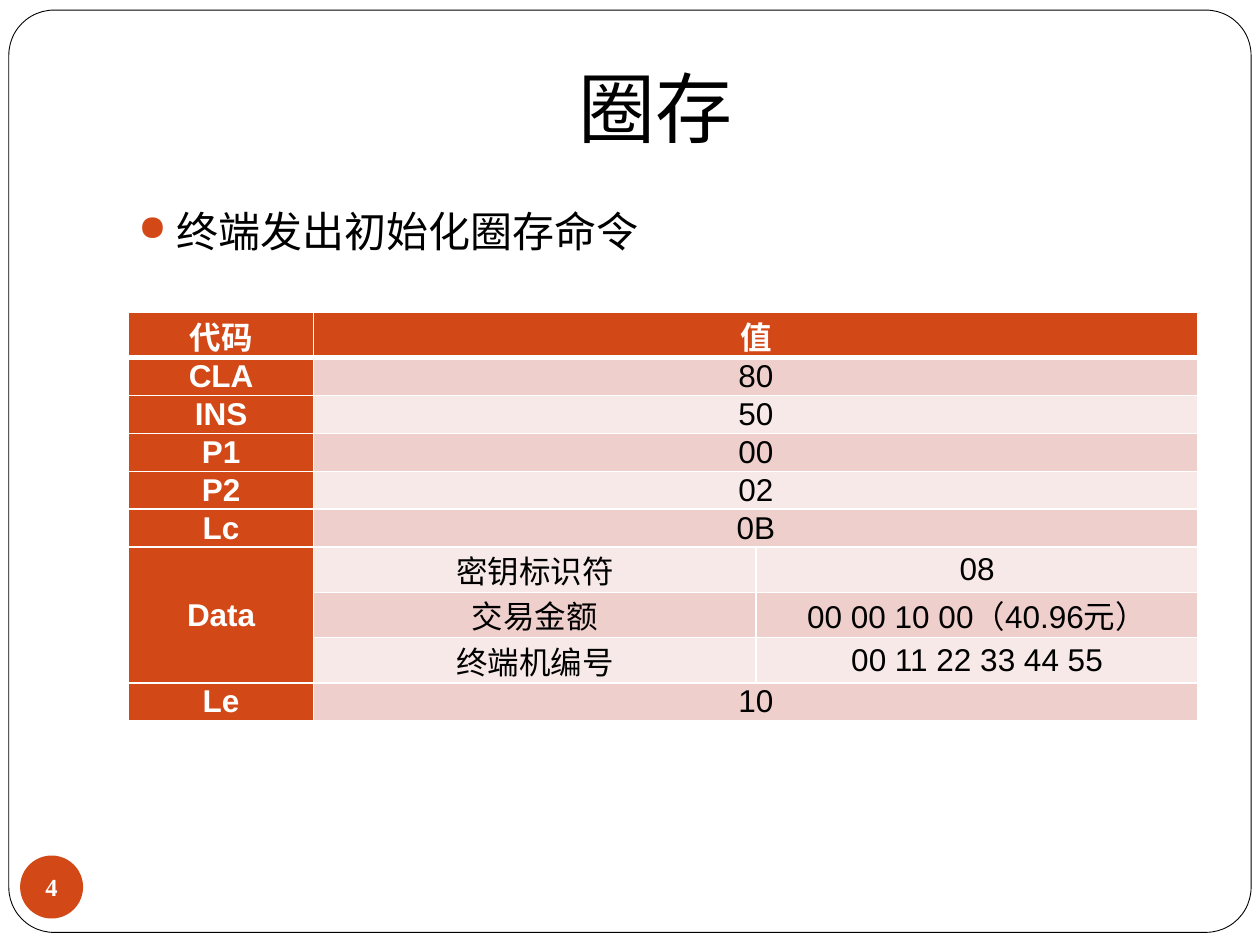
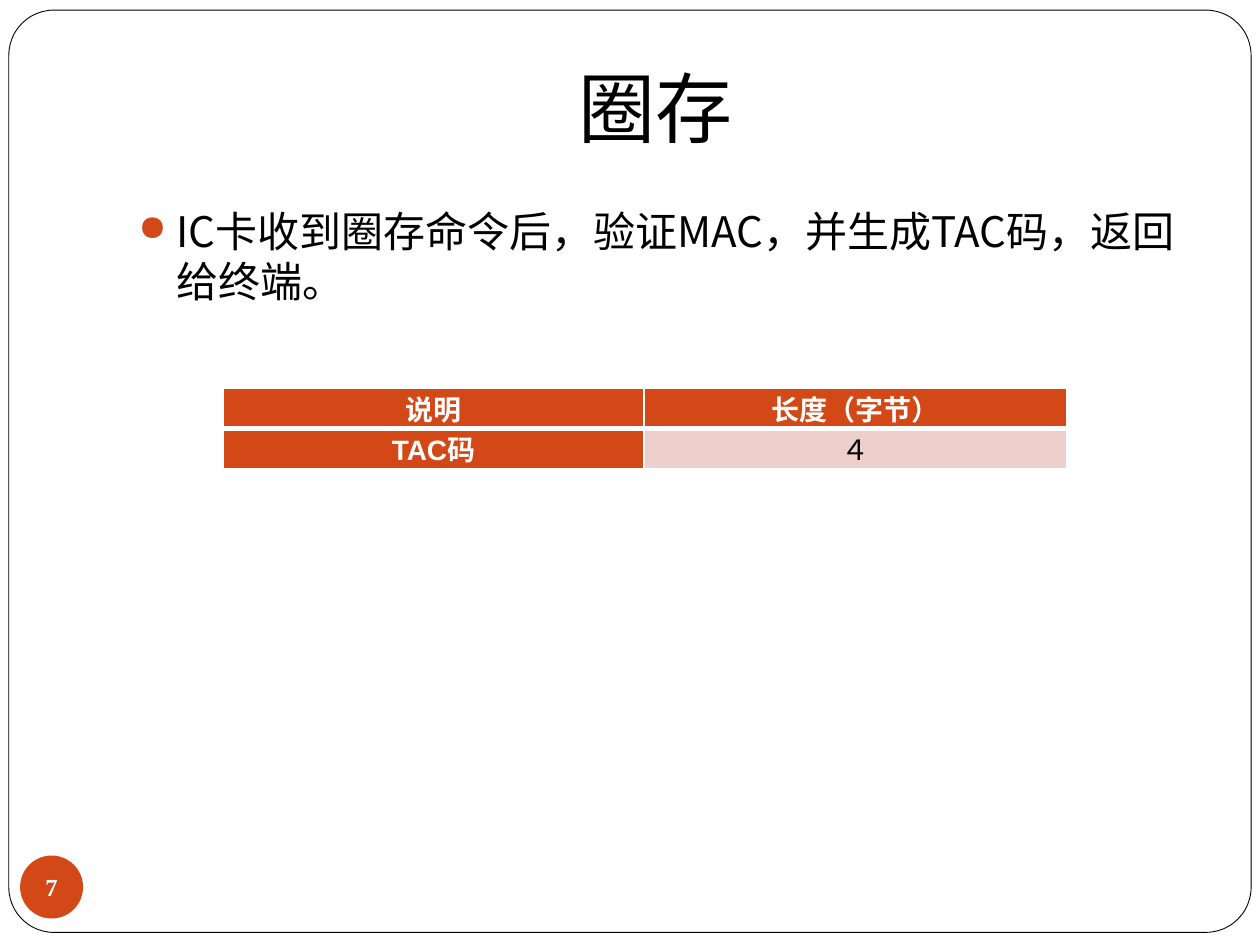
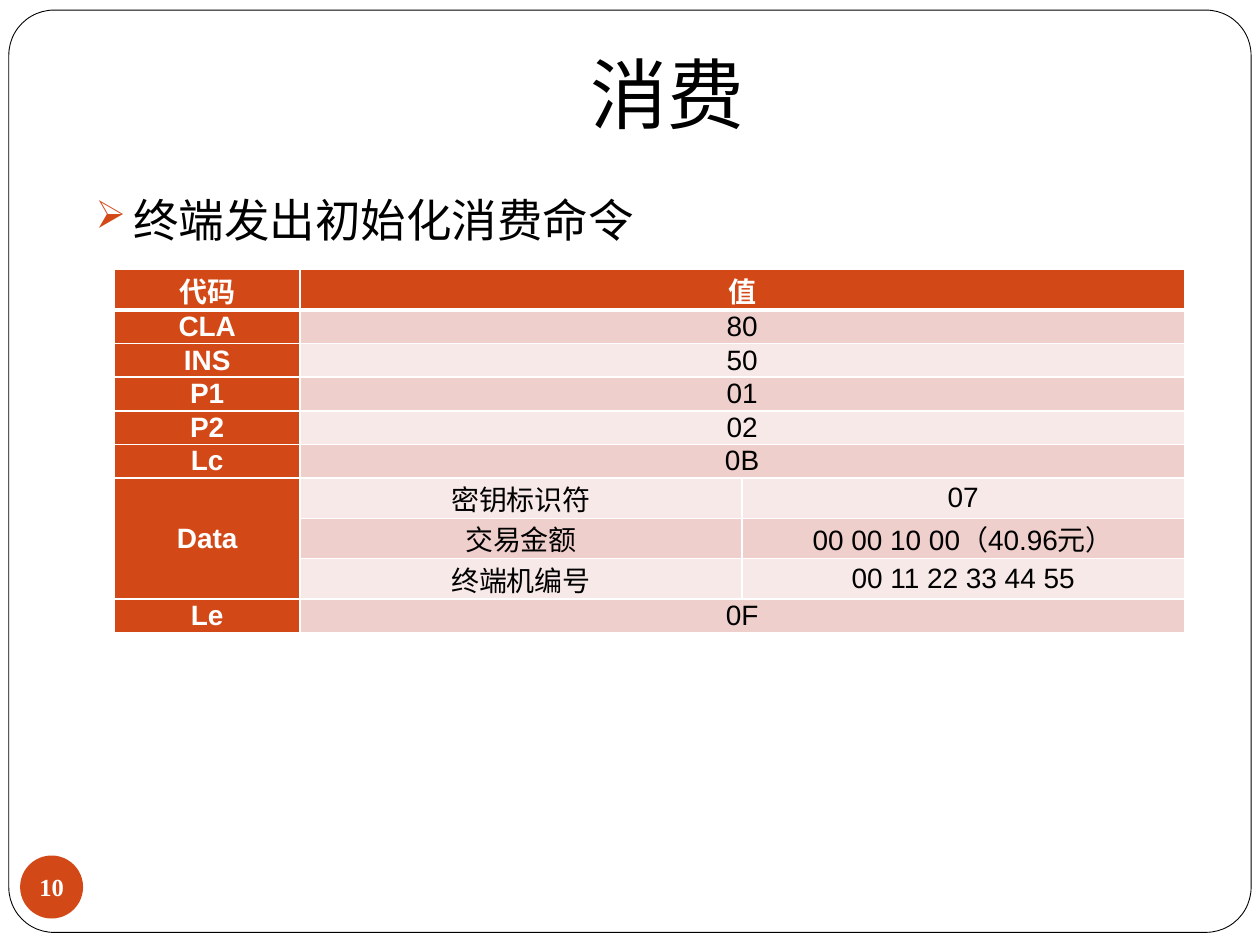
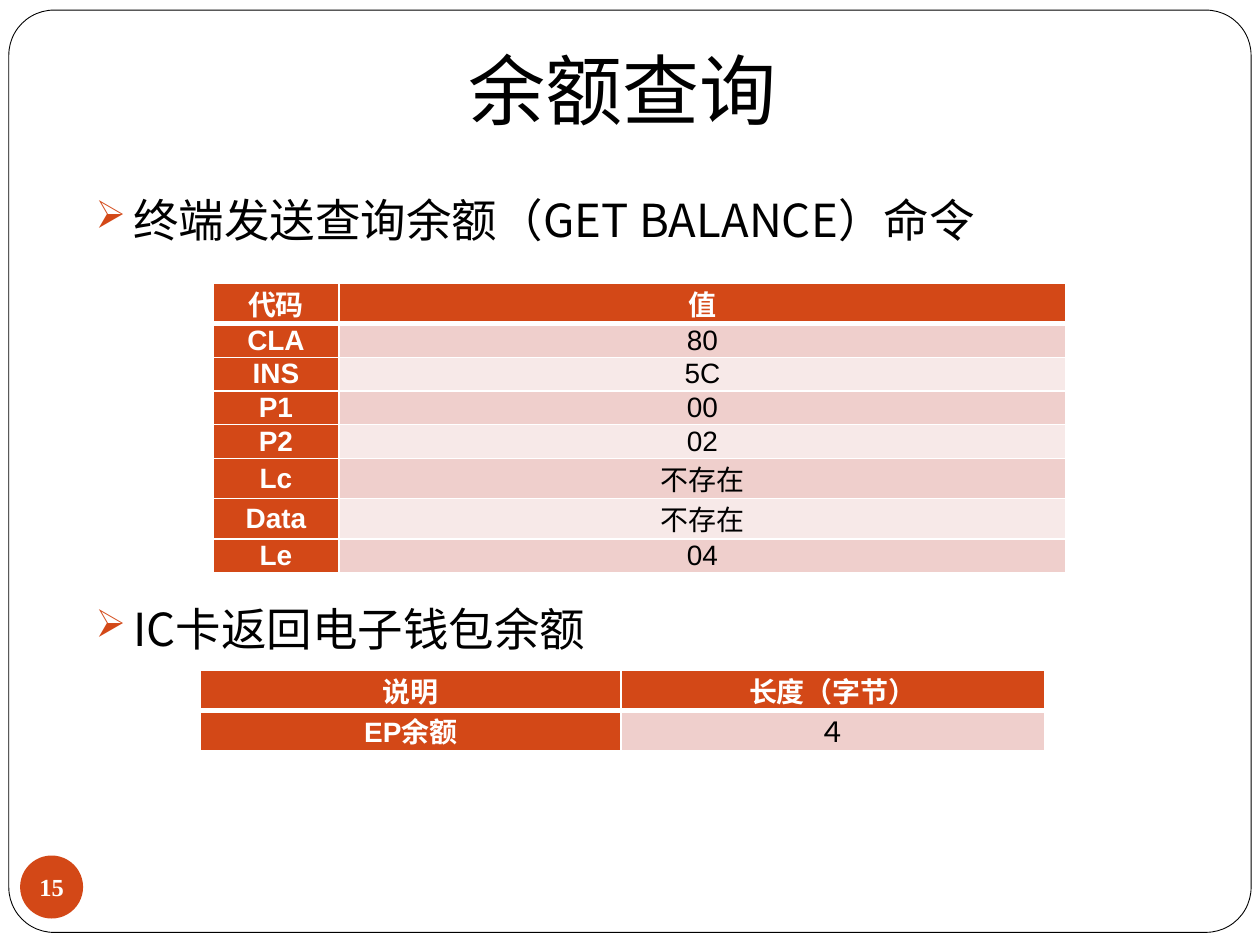
"""Builds four slides on smart card commands, each with bullets and code tables."""
import lxml.etree
import pptx
import pptx.dml.color
import pptx.enum.shapes
import pptx.enum.text
import pptx.oxml.ns
import pptx.util

RGB = pptx.dml.color.RGBColor
RUST = RGB(0xD3, 0x48, 0x17)
ROSE = RGB(0xEF, 0xCF, 0xCC)
BLUSH = RGB(0xF7, 0xE9, 0xE8)
WHITE = RGB(0xFF, 0xFF, 0xFF)
BLACK = RGB(0, 0, 0)
SANS, ARIAL, TIMES = "Noto Sans CJK SC", "Arial", "Times New Roman"
WIDE, HIGH = 10, 7.5
ANCHOR = pptx.enum.text.MSO_ANCHOR
CENTER = pptx.enum.text.PP_ALIGN.CENTER
SHAPE = pptx.enum.shapes.MSO_SHAPE

DOT = dict(mark="●", size=24, box=(1, 1.58, 8.5, 5), before=5.8, lines=1)
ARROW = dict(mark="➢", size=26, box=(0.66, 1.26, 8.99, 5.54), before=0, lines=1.5)
LOW = dict(anchor=ANCHOR.BOTTOM, pads=(0.1, 0.05, 0.1, 0.1))
TOP = dict(anchor=ANCHOR.TOP, pads=(0.1, 0.05, 0.1, 0.05))
TRIPLE, PAIR, HALVES = (1.47, 3.51, 3.51), (1, 5.77), (3.34, 3.36)


def command(ins, first, key, reply):
    """Return the rows of an initialise command."""
    return [("代码", "值"), ("CLA", "80"), ("INS", ins), ("P1", first),
            ("P2", "02"), ("Lc", "0B"), ("Data", "密钥标识符", key),
            ("", "交易金额", "00 00 10 00（40.96元）"),
            ("", "终端机编号", "00 11 22 33 44 55"), ("Le", reply)]


def answer(name):
    """Return the rows of a card reply."""
    return [("说明", "长度（字节）"), (name, "４")]


BALANCE = [("代码", "值"), ("CLA", "80"), ("INS", "5C"), ("P1", "00"),
           ("P2", "02"), ("Lc", "不存在"), ("Data", "不存在"), ("Le", "04")]

# Each bullet is (text, extra points above); each table is (left, top, columns, size, pad, rows).
SLIDES = [
    dict(page="4", title="圈存", place=(2.6, 0.4, 5.21, 0.91), fit=LOW, style=DOT,
         bullets=[("终端发出初始化圈存命令", 0)],
         tables=[(1.02, 2.48, TRIPLE, 18, 0.06, command("50", "00", "08", "10"))]),
    dict(page="7", title="圈存", place=(2.6, 0.4, 5.21, 0.91), fit=LOW, style=DOT,
         bullets=[("IC卡收到圈存命令后，验证MAC，并生成TAC码，返回给终端。", 0)],
         tables=[(1.77, 3.08, HALVES, 16, 0.07, answer("TAC码"))]),
    dict(page="10", title="消费", place=(2.01, 0.32, 6.58, 0.84), fit=TOP, style=ARROW,
         bullets=[("终端发出初始化消费命令", 0)],
         tables=[(0.91, 2.14, TRIPLE, 16, 0.06, command("50", "01", "07", "0F"))]),
    dict(page="15", title="余额查询", place=(2.99, 0.29, 3.9, 0.84), fit=TOP, style=ARROW,
         bullets=[("终端发送查询余额（GET BALANCE）命令", 0), ("IC卡返回电子钱包余额", 187)],
         tables=[(1.69, 2.25, PAIR, 16, 0.07, BALANCE),
                 (1.59, 5.32, HALVES, 16, 0.07, answer("EP余额"))]),
]


def inches(*sizes):
    """Turn numbers into lengths."""
    return [pptx.util.Inches(size) for size in sizes]


def child(parent, tag, **attrs):
    """Append a drawing element."""
    node = lxml.etree.SubElement(parent, pptx.oxml.ns.qn("a:" + tag))
    for name, value in attrs.items():
        node.set(name, str(value))
    return node


def write(para, text, size, face, color, bold=False):
    """Add one formatted run."""
    run = para.add_run()
    run.text = text
    font = run.font
    font.size, font.name, font.bold = pptx.util.Pt(size), face, bold
    font.color.rgb = color
    child(font._element, "ea", typeface=SANS)


def pad(frame, pads):
    """Set the four insets of a text frame or cell."""
    (frame.margin_left, frame.margin_top,
     frame.margin_right, frame.margin_bottom) = inches(*pads)


def draw(slide, kind, box, fill):
    """Add a plain filled shape."""
    shape = slide.shapes.add_shape(kind, *inches(*box))
    shape.shadow.inherit = False
    shape.fill.solid()
    shape.fill.fore_color.rgb = fill
    return shape


def border(slide):
    """Add the rounded page border."""
    shape = draw(slide, SHAPE.ROUNDED_RECTANGLE, (0.07, 0.08, 9.86, 7.32), WHITE)
    shape.adjustments[0] = 0.049
    shape.line.color.rgb = BLACK
    shape.line.width = pptx.util.Pt(0.5)


def badge(slide, page):
    """Add the round page number."""
    shape = draw(slide, SHAPE.OVAL, (0.16, 6.79, 0.5, 0.5), RUST)
    shape.line.fill.background()
    frame = shape.text_frame
    frame.word_wrap = False
    frame.vertical_anchor = ANCHOR.MIDDLE
    pad(frame, (0, 0, 0, 0))
    frame.paragraphs[0].alignment = CENTER
    write(frame.paragraphs[0], page, 14, TIMES, WHITE, True)


def head(slide, text, place, fit):
    """Place and fill the title."""
    title = slide.shapes.title
    title.left, title.top, title.width, title.height = inches(*place)
    frame = title.text_frame
    frame.auto_size = pptx.enum.text.MSO_AUTO_SIZE.NONE
    frame.word_wrap = True
    frame.vertical_anchor = fit["anchor"]
    pad(frame, fit["pads"])
    frame.paragraphs[0].alignment = CENTER
    write(frame.paragraphs[0], text, 44, SANS, BLACK)


def points(slide, bullets, style):
    """Add the bulleted text."""
    frame = slide.shapes.add_textbox(*inches(*style["box"])).text_frame
    frame.word_wrap = True
    for index, (text, gap) in enumerate(bullets):
        para = frame.add_paragraph() if index else frame.paragraphs[0]
        para.line_spacing = float(style["lines"])
        para.space_before = pptx.util.Pt(style["before"] + gap)
        props = para._p.get_or_add_pPr()
        hang = pptx.util.Inches(0.3)
        props.set("marL", str(hang))
        props.set("indent", str(-hang))
        child(child(props, "buClr"), "srgbClr", val=RUST)
        child(props, "buSzPct", val=85000)
        child(props, "buChar", char=style["mark"])
        write(para, text, style["size"], SANS, BLACK)


def edges(cell, row):
    """Rule a cell in white, with a thick line below the header."""
    props = cell._tc.get_or_add_tcPr()
    for side in "LRTB":
        thick = (row, side) in ((0, "B"), (1, "T"))
        line = child(props, "ln" + side, w=pptx.util.Pt(3 if thick else 1))
        child(child(line, "solidFill"), "srgbClr", val=WHITE)


def grid(slide, left, top, cols, size, inset, rows):
    """Add a code table; short rows span right and empty codes join the row above."""
    tall = [size * (0.0155 if "".join(row).isascii() else 0.02) for row in rows]
    box = inches(left, top, sum(cols), sum(tall))
    table = slide.shapes.add_table(len(rows), len(cols), *box).table
    table.first_row = table.horz_banding = False
    for col, width in zip(table.columns, cols):
        col.width = pptx.util.Inches(width)
    last = len(cols) - 1
    start = 0
    for r, row in enumerate(rows):
        table.rows[r].height = pptx.util.Inches(tall[r])
        for c in range(len(cols)):
            cell = table.cell(r, c)
            label = r == 0 or c == 0
            edges(cell, r)
            cell.fill.solid()
            cell.fill.fore_color.rgb = RUST if label else ROSE if r % 2 else BLUSH
            cell.vertical_anchor = ANCHOR.MIDDLE
            pad(cell, (inset, 0, inset, 0))
            if c < len(row) and row[c]:
                para = cell.text_frame.paragraphs[0]
                para.alignment = CENTER
                write(para, row[c], size, ARIAL, WHITE if label else BLACK, label)
        if len(row) <= last:
            table.cell(r, len(row) - 1).merge(table.cell(r, last))
        if row[0]:
            start = r
        elif r + 1 == len(rows) or rows[r + 1][0]:
            table.cell(start, 0).merge(table.cell(r, 0))


deck = pptx.Presentation()
deck.slide_width, deck.slide_height = inches(WIDE, HIGH)
for item in SLIDES:
    slide = deck.slides.add_slide(deck.slide_layouts[5])
    border(slide)
    tree = slide.shapes._spTree
    tree.append(slide.shapes.title._element)
    head(slide, item["title"], item["place"], item["fit"])
    points(slide, item["bullets"], item["style"])
    badge(slide, item["page"])
    for spot in item["tables"]:
        grid(slide, *spot)
deck.save("out.pptx")
